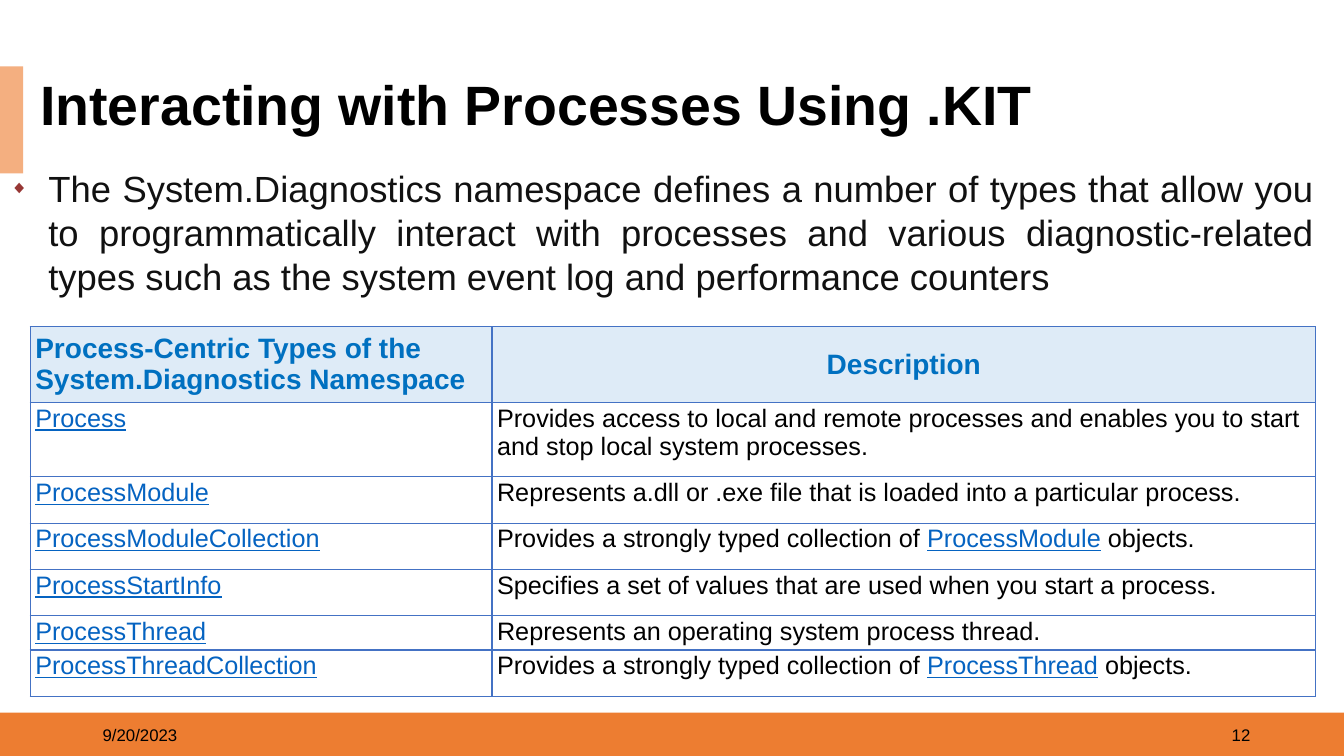
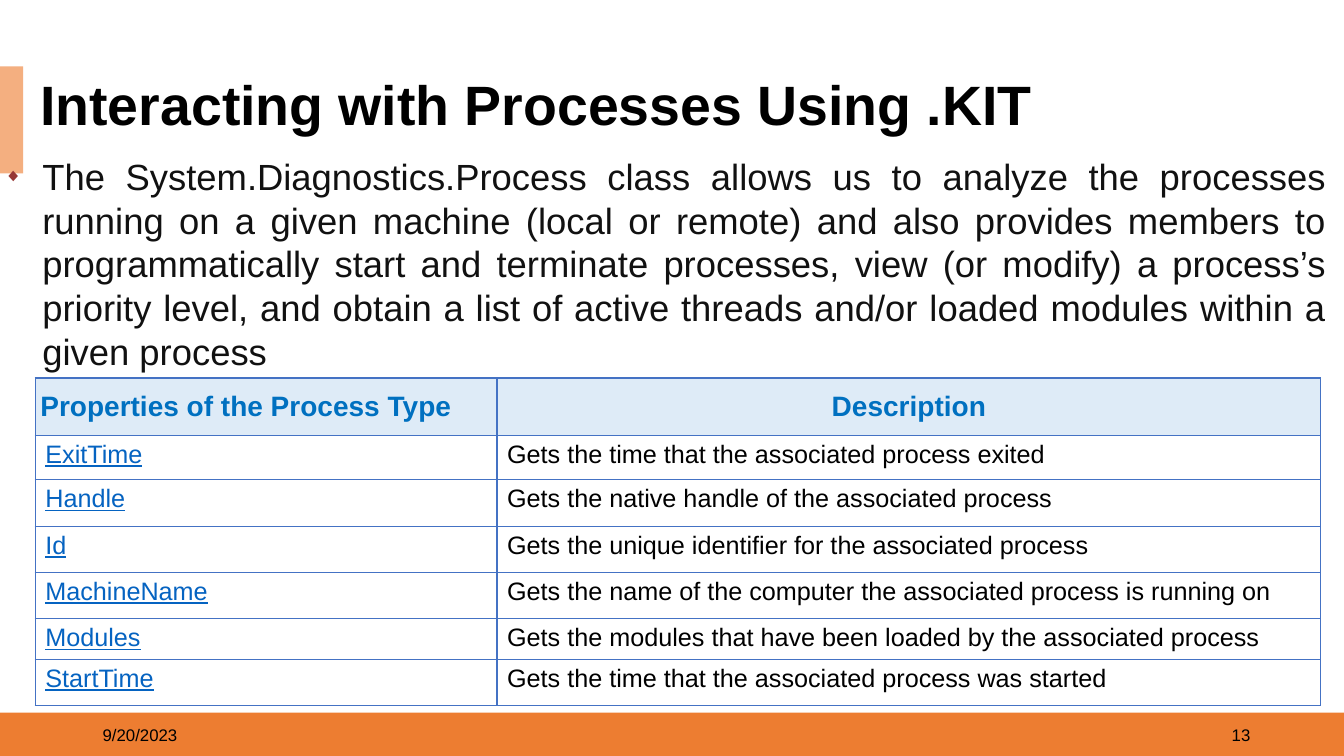
from lxml import etree
from pptx import Presentation
from pptx.dml.color import RGBColor
from pptx.enum.shapes import MSO_SHAPE
from pptx.enum.text import MSO_ANCHOR, MSO_AUTO_SIZE, PP_ALIGN
from pptx.oxml.ns import qn
from pptx.util import Inches, Pt

RECT = MSO_SHAPE.RECTANGLE
MIDDLE, TOP = MSO_ANCHOR.MIDDLE, MSO_ANCHOR.TOP
LEFT, CENTER, RIGHT, JUSTIFY = PP_ALIGN.LEFT, PP_ALIGN.CENTER, PP_ALIGN.RIGHT, PP_ALIGN.JUSTIFY
NO_FIT = MSO_AUTO_SIZE.NONE

FONT = "Arial"
BLACK, WHITE, INK = "000000", "FFFFFF", "111111"
ORANGE, PEACH, BULLET = "ED7D31", "F4AF80", "973735"
HEADER_TEXT, HEADER_FILL = "0070C0", "DEEBF7"
LINK, BORDER = "0563C1", "4472C4"

TITLE = "Interacting with Processes Using .KIT"
DATE = "9/20/2023"
COLUMNS = (4.58, 8.17)

NAMESPACE_TEXT = (
    "The System.Diagnostics namespace defines a number of types that allow you to "
    "programmatically interact with processes and various diagnostic-related types "
    "such as the system event log and performance counters"
)
NAMESPACE_ROWS = [
    ("Process-Centric Types of the\nSystem.Diagnostics Namespace", "Description"),
    ("Process", "Provides access to local and remote processes and enables you "
                "to start and stop local system processes."),
    ("ProcessModule", "Represents a.dll or .exe file that is loaded into a particular process."),
    ("ProcessModuleCollection", "Provides a strongly typed collection of |ProcessModule| objects."),
    ("ProcessStartInfo", "Specifies a set of values that are used when you start a process."),
    ("ProcessThread", "Represents an operating system process thread."),
    ("ProcessThreadCollection", "Provides a strongly typed collection of |ProcessThread| objects."),
]

PROCESS_TEXT = (
    "The System.Diagnostics.Process class allows us to analyze the processes running "
    "on a given machine (local or remote) and also provides members to programmatically "
    "start and terminate processes, view (or modify) a process’s priority level, and "
    "obtain a list of active threads and/or loaded modules within a given process"
)
PROCESS_ROWS = [
    ("Properties of the Process Type", "Description"),
    ("ExitTime", "Gets the time that the associated process exited"),
    ("Handle", "Gets the native handle of the associated process"),
    ("Id", "Gets the unique identifier for the associated process"),
    ("MachineName", "Gets the name of the computer the associated process is running on"),
    ("Modules", "Gets the modules that have been loaded by the associated process"),
    ("StartTime", "Gets the time that the associated process was started"),
]


def rgb(color):
    return RGBColor.from_string(color)


def style(r, size, color, bold=False, underline=False):
    r.font.name = FONT
    r.font.size = Pt(size)
    r.font.color.rgb = rgb(color)
    r.font.bold = bold
    r.font.underline = underline


def place(sp, left, top, width, height):
    sp.left, sp.top = Inches(left), Inches(top)
    sp.width, sp.height = Inches(width), Inches(height)


class Deck:
    def __init__(self):
        self.prs = Presentation()
        self.prs.slide_width, self.prs.slide_height = Inches(13.33), Inches(7.5)
        self.layout = self.prs.slide_layouts[1]
        self.slide = None

    def new_slide(self, number):
        self.slide = self.prs.slides.add_slide(self.layout)
        if len(self.prs.slides) == 1:
            self.layout_band(0, 7.07, 13.33, 0.44, ORANGE)
            self.layout_band(0, 0.66, 0.23, 1.06, PEACH)
        self.footer(0.92, DATE, LEFT)
        self.footer(9.5, str(number), RIGHT)
        self.title()

    def layout_band(self, left, top, width, height, color):
        sp = self.slide.shapes.add_shape(
            RECT, Inches(left), Inches(top), Inches(width), Inches(height))
        sp.shadow.inherit = False
        sp.fill.solid()
        sp.fill.fore_color.rgb = rgb(color)
        sp.line.fill.background()
        self.layout.shapes.element.append(sp.element)

    def footer(self, left, text, align):
        sp = self.slide.shapes.add_textbox(Inches(left), Inches(7.09), Inches(3), Inches(0.4))
        tf = sp.text_frame
        tf.word_wrap = True
        tf.vertical_anchor = MIDDLE
        tf.text = text
        p = tf.paragraphs[0]
        p.alignment = align
        style(p.runs[0], 12, BLACK)

    def title(self):
        sp = self.slide.shapes.title
        place(sp, 0.3, 0.75, 12.85, 0.63)
        sp.fill.solid()
        sp.fill.fore_color.rgb = rgb(WHITE)
        tf = sp.text_frame
        tf.auto_size = NO_FIT
        tf.vertical_anchor = MIDDLE
        tf.text = TITLE
        p = tf.paragraphs[0]
        p.alignment = LEFT
        p.line_spacing = 0.9
        style(p.runs[0], 39.6, BLACK, bold=True)

    def body(self, left, top, width, height, text, gap):
        sp = self.slide.placeholders[1]
        place(sp, left, top, width, height)
        tf = sp.text_frame
        tf.auto_size = NO_FIT
        tf.text = text
        p = tf.paragraphs[0]
        p.alignment = JUSTIFY
        p.space_before = p.space_after = Pt(gap)
        style(p.runs[0], 26, INK)
        self.bullet(p)

    def bullet(self, p):
        pPr = p._p.get_or_add_pPr()
        pPr.set("marL", str(Inches(0.38)))
        pPr.set("indent", str(Inches(-0.38)))
        color = etree.SubElement(pPr, qn("a:buClr"))
        etree.SubElement(color, qn("a:srgbClr"), val=BULLET)
        etree.SubElement(pPr, qn("a:buSzPct"), val="50000")
        etree.SubElement(pPr, qn("a:buChar"), char="◆")

    def table(self, left, top, heights, rows, inset):
        frame = self.slide.shapes.add_table(
            len(rows), len(COLUMNS), Inches(left), Inches(top),
            Inches(sum(COLUMNS)), Inches(sum(heights)))
        table = frame.table
        table.first_row = table.horz_banding = False
        for column, width in zip(table.columns, COLUMNS):
            column.width = Inches(width)
        for i, (row, height, texts) in enumerate(zip(table.rows, heights, rows)):
            row.height = Inches(height)
            for j, (cell, text) in enumerate(zip(row.cells, texts)):
                if i == 0:
                    self.header_cell(cell, text, CENTER if j else LEFT)
                else:
                    self.body_cell(cell, text if j else f"|{text}|", inset)
                self.borders(cell)

    def header_cell(self, cell, text, align):
        self.margins(cell, (0.05, 0.02))
        cell.fill.solid()
        cell.fill.fore_color.rgb = rgb(HEADER_FILL)
        cell.vertical_anchor = MIDDLE
        cell.text_frame.text = text
        for p in cell.text_frame.paragraphs:
            p.alignment = align
            style(p.runs[0], 20, HEADER_TEXT, bold=True)

    def body_cell(self, cell, text, inset):
        self.margins(cell, inset)
        cell.fill.background()
        cell.vertical_anchor = TOP
        p = cell.text_frame.paragraphs[0]
        for i, part in enumerate(text.split("|")):
            if part:
                linked = i % 2 == 1
                r = p.add_run()
                r.text = part
                style(r, 18, LINK if linked else BLACK, underline=linked)

    def margins(self, cell, inset):
        cell.margin_left = cell.margin_right = Inches(inset[0])
        cell.margin_top = cell.margin_bottom = Inches(inset[1])

    def borders(self, cell):
        tcPr = cell._tc.get_or_add_tcPr()
        for i, side in enumerate(("a:lnL", "a:lnR", "a:lnT", "a:lnB")):
            ln = etree.Element(qn(side), w=str(Pt(1)))
            fill = etree.SubElement(ln, qn("a:solidFill"))
            etree.SubElement(fill, qn("a:srgbClr"), val=BORDER)
            tcPr.insert(i, ln)


def main():
    deck = Deck()

    deck.new_slide(12)
    deck.body(0, 1.6, 13.15, 1.41, NAMESPACE_TEXT, 6)
    deck.table(0.3, 3.24, (0.75, 0.74, 0.46, 0.46, 0.46, 0.32, 0.46),
               NAMESPACE_ROWS, (0.05, 0.02))

    deck.new_slide(13)
    deck.body(-0.06, 1.48, 13.33, 2.37, PROCESS_TEXT, 3)
    deck.table(0.35, 3.75, (0.57, 0.44, 0.46, 0.46, 0.46, 0.32, 0.46),
               PROCESS_ROWS, (0.1, 0.05))

    deck.prs.save("out.pptx")


if __name__ == "__main__":
    main()
